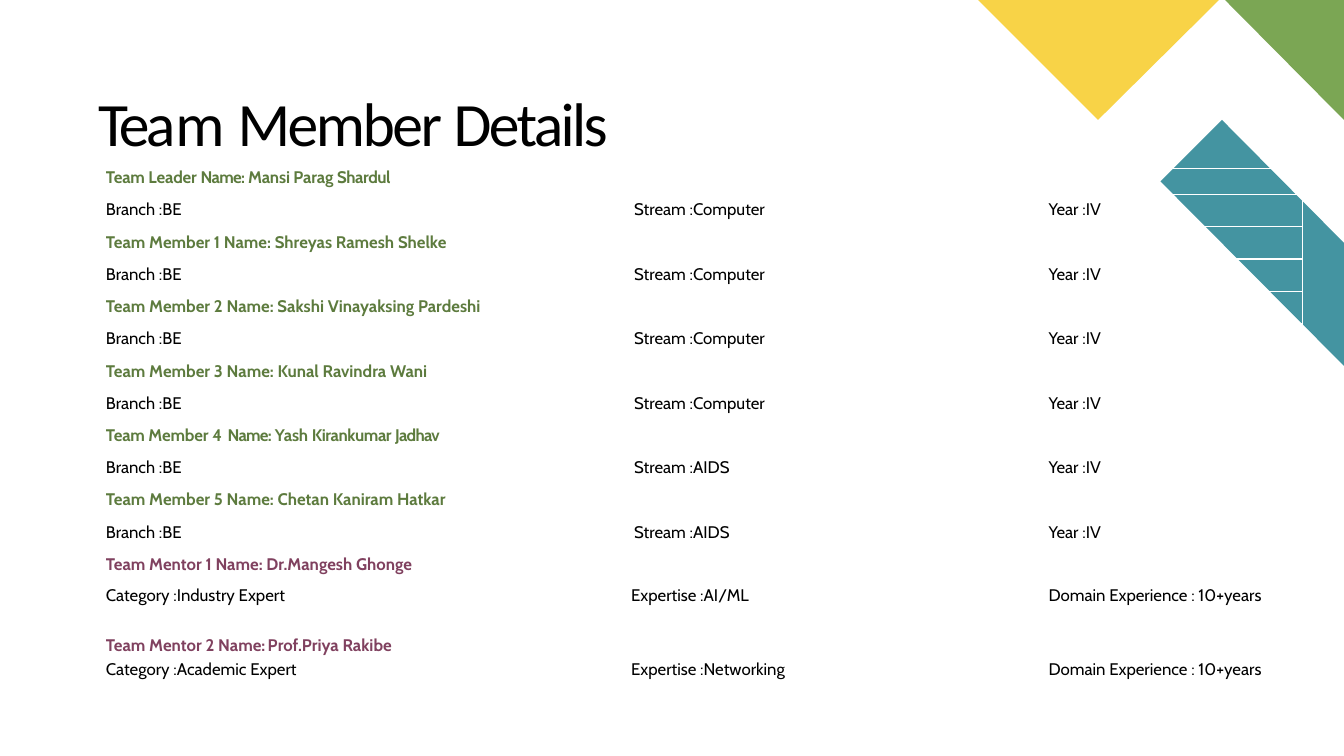
from pptx import Presentation
from pptx.dml.color import RGBColor
from pptx.enum.text import MSO_ANCHOR, MSO_AUTO_SIZE, PP_ALIGN
from pptx.util import Inches, Pt

BLACK = RGBColor(0x00, 0x00, 0x00)
MEMBER_GREEN = RGBColor(0x5D, 0x7B, 0x3E)
MENTOR_PLUM = RGBColor(0x80, 0x41, 0x5F)
TEAL = RGBColor(0x44, 0x94, 0xA1)
GREEN = RGBColor(0x7B, 0xA6, 0x54)
YELLOW = RGBColor(0xF8, 0xD3, 0x47)
CENTER = PP_ALIGN.CENTER
TOP, MIDDLE = MSO_ANCHOR.TOP, MSO_ANCHOR.MIDDLE
GROW = MSO_AUTO_SIZE.SHAPE_TO_FIT_TEXT

LINE, GAP = 13.9, 3.8  # points


def add_spaced_runs(paragraph, parts):
    """Add (text, letter spacing in points) runs."""
    for text, spacing in parts:
        run = paragraph.add_run()
        run.text = text
        if spacing:
            run.font._element.set("spc", str(round(spacing * 100)))


def write_line(paragraph, parts, color, bold=False, before=GAP, line=None):
    add_spaced_runs(paragraph, [(parts, 0)] if isinstance(parts, str) else parts)
    paragraph.font.name = "Cabin"
    paragraph.font.size = Pt(12)
    paragraph.font.bold = bold
    paragraph.font.color.rgb = color
    paragraph.space_before = Pt(before)
    if line:
        paragraph.line_spacing = Pt(line)


prs = Presentation()
prs.slide_width, prs.slide_height = Inches(13.33), Inches(7.5)
slide = prs.slides.add_slide(prs.slide_layouts[5])

# Corner decoration
corner_pieces = [
    (TEAL, [(12.12, 1.19), (11.51, 1.8), (13.33, 3.63), (13.33, 2.41)]),
    (GREEN, [(13.33, 0), (12.15, 0), (13.33, 1.19)]),
    (YELLOW, [(12.09, 0), (9.7, 0), (10.89, 1.19)]),
]
for color, points in corner_pieces:
    corners = [(Inches(x), Inches(y)) for x, y in points]
    outline = slide.shapes.build_freeform(*corners[0])
    outline.add_line_segments(corners[1:], close=True)
    piece = outline.convert_to_shape()
    piece.shadow.inherit = False
    piece.fill.solid()
    piece.fill.fore_color.rgb = color
    piece.line.fill.background()

# Title
title = slide.shapes.title
title.left, title.top = Inches(0.58), Inches(0.82)
title.width, title.height = Inches(5.84), Inches(0.76)
heading = title.text_frame
heading.margin_left = heading.margin_right = heading.margin_bottom = 0
heading.margin_top = Inches(0.01)
heading.vertical_anchor = MIDDLE
heading.auto_size = GROW
heading_line = heading.paragraphs[0]
add_spaced_runs(heading_line, [("Tea", -2.6), ("m ", -0.8),
                               ("Member ", -1.8), ("Details", -1.9)])
heading_line.alignment = CENTER
heading_line.space_before = Pt(1.1)
heading_line.font.name = "Calibri"
heading_line.font.size = Pt(44)
heading_line.font.color.rgb = BLACK

# Team members: name line and stream
members = [
    ([("Team Leader ", -0.1), ("Name: ", -0.5), ("Mansi Parag ", -0.1),
      ("Shardul", -0.3)], "Computer"),
    ("Team Member 1 Name: Shreyas Ramesh Shelke", "Computer"),
    ("Team Member 2 Name: Sakshi Vinayaksing Pardeshi", "Computer"),
    ("Team Member 3 Name: Kunal Ravindra Wani", "Computer"),
    ([("Team Member ", -0.1), ("4 ", 0.6), ("Name: ", -0.5), ("Yash ", -0.1),
      ("Kirankumar ", -0.3), ("Jadhav", -0.5)], "AIDS"),
    ("Team Member 5 Name: Chetan Kaniram Hatkar", "AIDS"),
]
mentor_row = 2 * len(members)

# Empty table grid
team = slide.shapes.add_table(mentor_row + 2, 3, Inches(1.02), Inches(1.67),
                              Inches(11.9), Inches(5.2)).table
team.first_row = team.horz_banding = False
for column, width in zip(team.columns, (4.84, 3.27, 3.79)):
    column.width = Inches(width)
for r, row in enumerate(team.rows):
    row.height = Inches(0.26 if r == 0 else 1.1 if r > mentor_row else 0.32)
    indents = (0.03, 0.4 if r > mentor_row else 0.43, 1.27)
    for cell, indent in zip(row.cells, indents):
        cell.fill.background()
        cell.vertical_anchor = TOP
        cell.margin_left = Inches(indent)
        cell.margin_right = cell.margin_bottom = 0
        cell.margin_top = Inches(0.05 if r else 0)
        cell.text_frame.paragraphs[0].font.size = Pt(12)
team.cell(0, 1).merge(team.cell(0, 2))

# Member rows
for i, (name, stream) in enumerate(members):
    name_line = team.cell(2 * i, 0).text_frame.paragraphs[0]
    if i == 0:
        write_line(name_line, name, MEMBER_GREEN, True, before=0, line=14)
    else:
        write_line(name_line, name, MEMBER_GREEN, True)
    details = ("Branch :BE", "Stream :" + stream, "Year :IV")
    for c, detail in enumerate(details):
        write_line(team.cell(2 * i + 1, c).text_frame.paragraphs[0], detail, BLACK)

# Mentor rows: the second mentor sits in the same row, set off by spacing
write_line(team.cell(mentor_row, 0).text_frame.paragraphs[0],
           "Team Mentor 1 Name: Dr.Mangesh Ghonge", MENTOR_PLUM, True)
mentor_details = [
    ("Category :Industry Expert", "Category :Academic Expert"),
    ("Expertise :AI/ML", "Expertise :Networking"),
    ("Domain Experience : 10+years", "Domain Experience : 10+years"),
]
one_line = LINE + GAP
for c, (first, second) in enumerate(mentor_details):
    frame = team.cell(mentor_row + 1, c).text_frame
    write_line(frame.paragraphs[0], first, BLACK, line=LINE)
    second_gap = GAP + 2 * one_line
    if c == 0:
        write_line(frame.add_paragraph(),
                   [("Team Mentor 2 Name:", 0), (" P", -1.1), ("rof.Priya Rakibe", 0)],
                   MENTOR_PLUM, True, before=GAP + one_line, line=LINE)
        second_gap = GAP
    write_line(frame.add_paragraph(), second, BLACK, before=second_gap, line=LINE)

prs.save("out.pptx")
